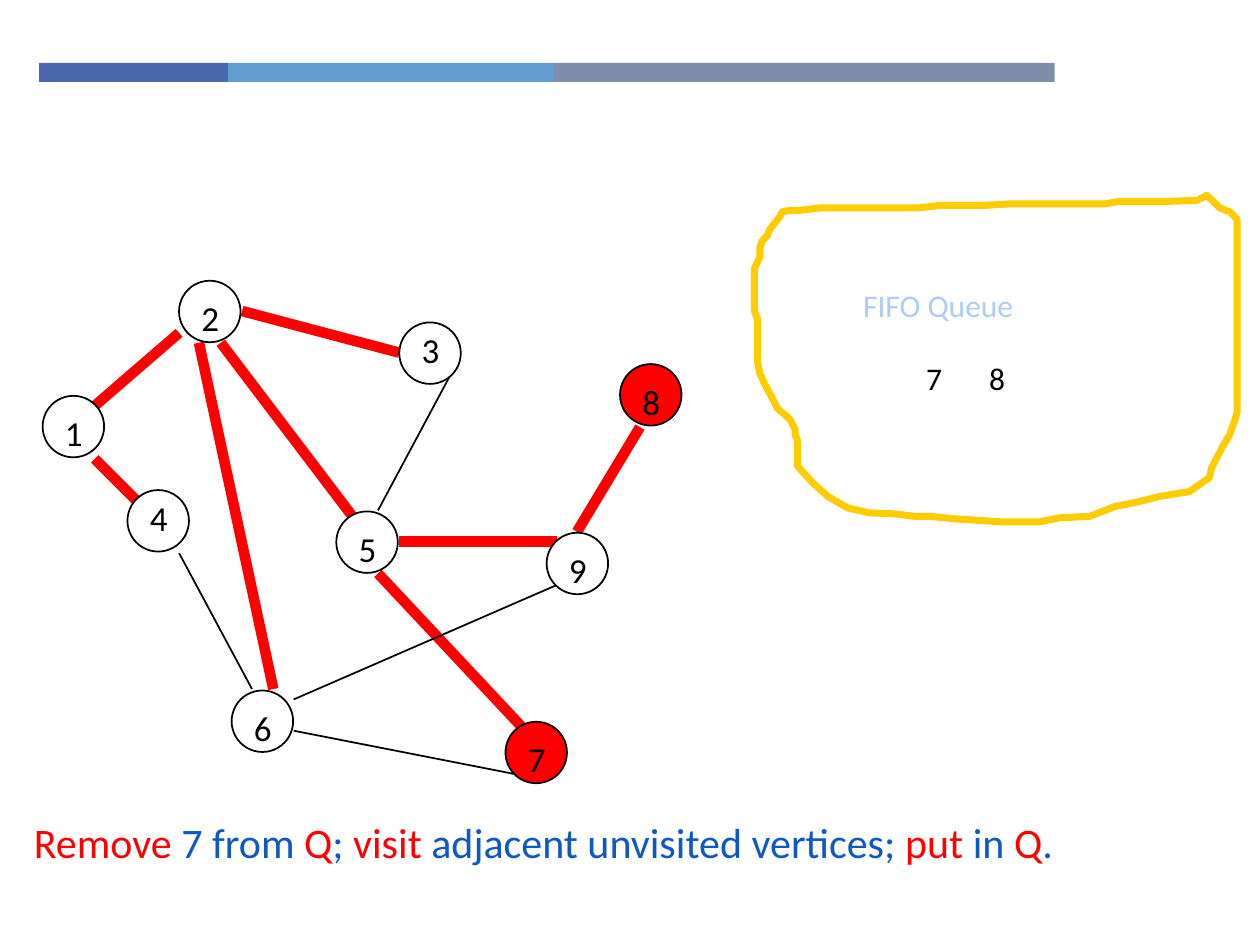
from lxml import etree
from pptx import Presentation
from pptx.dml.color import RGBColor
from pptx.enum.shapes import MSO_CONNECTOR, MSO_SHAPE
from pptx.enum.text import MSO_ANCHOR, MSO_AUTO_SIZE, PP_ALIGN
from pptx.oxml.ns import qn
from pptx.util import Cm, Pt

RECT, OVAL = MSO_SHAPE.RECTANGLE, MSO_SHAPE.OVAL
LINE = MSO_CONNECTOR.STRAIGHT
FIXED = MSO_AUTO_SIZE.NONE
TOP, LEFT = MSO_ANCHOR.TOP, PP_ALIGN.LEFT
FONT = "Calibri"
BLACK = RGBColor(0, 0, 0)
WHITE = RGBColor(255, 255, 255)
RED = RGBColor(255, 0, 0)
BLUE = RGBColor(0x0E, 0x58, 0xC4)
PALE = RGBColor(0xAC, 0xCB, 0xF9)
GOLD = RGBColor(0xFF, 0xCC, 0)
INDIGO = RGBColor(0x4A, 0x66, 0xAC)
SKY = RGBColor(0x62, 0x9D, 0xD1)
SLATE = RGBColor(0x7F, 0x8F, 0xA9)

BARS = [(3.81, INDIGO), (6.55, SKY), (10.11, SLATE)]
QUEUE = [
    ("FIFO Queue", 17.15, 5.64, 7.82, 3.63, PALE),
    ("7", 18.42, 7.11, 1.07, 1.6, BLACK),
    ("8", 19.69, 7.11, 1.07, 1.6, BLACK),
]
SIZE, GAP = 1.24, 0.2
NODES = [
    ("1", 0.86, 7.98, GAP, WHITE),
    ("2", 3.61, 5.66, GAP, WHITE),
    ("4", 2.57, 9.88, 0, WHITE),
    ("5", 6.78, 10.31, GAP, WHITE),
    ("3", 8.05, 6.5, 0, WHITE),
    ("6", 4.67, 13.92, GAP, WHITE),
    ("9", 11.02, 10.74, GAP, WHITE),
    ("7", 10.19, 14.55, GAP, RED),
    ("8", 12.5, 7.34, GAP, RED),
]
TREE = [
    (3.61, 6.71, 1.91, 8.18),
    (4.45, 6.91, 7.19, 10.52),
    (1.91, 9.25, 2.74, 10.08),
    (7.62, 11.56, 10.59, 14.73),
    (12.9, 8.61, 11.63, 10.72),
    (8.05, 10.92, 11.23, 10.92),
    (4.88, 6.27, 8.05, 7.11),
    (4.01, 6.91, 5.51, 13.89),
]
REST = [
    (3.61, 11.15, 5.08, 13.89),
    (5.92, 14.73, 10.36, 15.6),
    (9.09, 7.54, 7.62, 10.29),
    (5.92, 14.1, 11.23, 11.79),
]
LOOP = [
    (24.33, 3.94), (24.13, 4.04), (23.57, 4.06), (22.58, 4.06), (22.28, 4.11),
    (20.37, 4.11), (19.86, 4.14), (18.95, 4.14), (18.54, 4.19), (16.54, 4.19),
    (16.13, 4.24), (15.93, 4.24), (15.77, 4.27), (15.72, 4.37), (15.52, 4.62),
    (15.47, 4.75), (15.37, 4.85), (15.32, 4.98), (15.32, 5.18), (15.21, 5.41),
    (15.21, 6.27), (15.27, 6.43), (15.27, 7.29), (15.32, 7.54), (15.42, 7.75),
    (15.57, 8.03), (15.67, 8.23), (15.93, 8.46), (16.03, 8.66), (16.03, 8.76),
    (16.08, 8.89), (16.08, 9.4), (16.38, 9.73), (16.69, 10.01), (17.09, 10.24),
    (17.53, 10.34), (18.03, 10.36), (18.44, 10.41), (18.75, 10.41),
    (19.25, 10.46), (20.17, 10.52), (20.96, 10.52), (21.36, 10.44),
    (21.97, 10.41), (22.48, 10.21), (22.89, 10.13), (23.37, 10.01),
    (23.98, 9.91), (24.38, 9.63), (24.43, 9.42), (24.64, 9.02), (24.79, 8.76),
    (24.89, 8.48), (24.94, 8.31), (24.94, 4.42), (24.79, 4.27), (24.59, 4.19),
]
STEP = [
    ("Remove", RED), (" 7 from ", BLUE), ("Q", RED), ("; ", BLUE),
    ("visit", RED), (" adjacent unvisited vertices; ", BLUE),
    ("put", RED), (" in ", BLUE), ("Q", RED), (".", BLUE),
]


def style(run, size, color):
    run.font.name = FONT
    run.font.size = Pt(size)
    run.font.color.rgb = color


def label(home, text, x, y, w, h, size, color):
    frame = home.add_textbox(Cm(x), Cm(y), Cm(w), Cm(h)).text_frame
    frame.text = text
    frame.word_wrap = True
    style(frame.paragraphs[0].runs[0], size, color)


def block(home, kind, x, y, w, h, fill):
    shape = home.add_shape(kind, Cm(x), Cm(y), Cm(w), Cm(h))
    shape.shadow.inherit = False
    shape.fill.solid()
    shape.fill.fore_color.rgb = fill
    return shape


def edge(home, ends, color, width):
    link = home.add_connector(LINE, *[Cm(v) for v in ends])
    link.line.color.rgb = color
    link.line.width = Pt(width)
    etree.SubElement(link._element.spPr, qn("a:effectLst"))


def node(home, text, x, y, drop, fill):
    group = home.add_group_shape().shapes
    disc = block(group, OVAL, x, y, SIZE, SIZE, fill)
    disc.line.color.rgb = BLACK
    disc.line.width = Pt(1)
    label(group, text, x + GAP, y + drop, 0.64, 1.09, 20, BLACK)


def loop(home):
    first, *rest = [(Cm(x), Cm(y)) for x, y in LOOP]
    pen = home.build_freeform(*first)
    pen.add_line_segments(rest, close=True)
    shape = pen.convert_to_shape()
    shape.shadow.inherit = False
    shape.fill.background()
    shape.line.color.rgb = GOLD
    shape.line.width = Pt(4)


def body(box):
    box.left, box.top, box.width, box.height = Cm(0.43), Cm(16.33), Cm(24.97), Cm(1.98)
    frame = box.text_frame
    frame.auto_size = FIXED
    frame.vertical_anchor = TOP
    para = frame.paragraphs[0]
    para.alignment = LEFT
    para.space_before = Pt(20)
    props = para._p.get_or_add_pPr()
    props.set("marL", str(Cm(1.27)))
    props.set("indent", str(Cm(-1.27)))
    etree.SubElement(props, qn("a:buNone"))
    for text, color in STEP:
        run = para.add_run()
        run.text = text
        style(run, 24, color)


def main():
    deck = Presentation()
    deck.slide_width, deck.slide_height = Cm(25.4), Cm(19.05)
    slide = deck.slides.add_slide(deck.slide_layouts[1])
    home = slide.shapes
    title = home.title._element
    title.getparent().remove(title)
    body(slide.placeholders[1])
    x = 0.79
    for width, fill in BARS:
        block(home, RECT, x, 1.27, width, 0.38, fill).line.fill.background()
        x += width
    loop(home)
    for text, x, y, w, h, color in QUEUE:
        label(home, text, x, y, w, h, 18, color)
    for ends in TREE:
        edge(home, ends, RED, 6)
    for ends in REST:
        edge(home, ends, BLACK, 1)
    for item in NODES:
        node(home, *item)
    deck.save("out.pptx")


if __name__ == "__main__":
    main()
